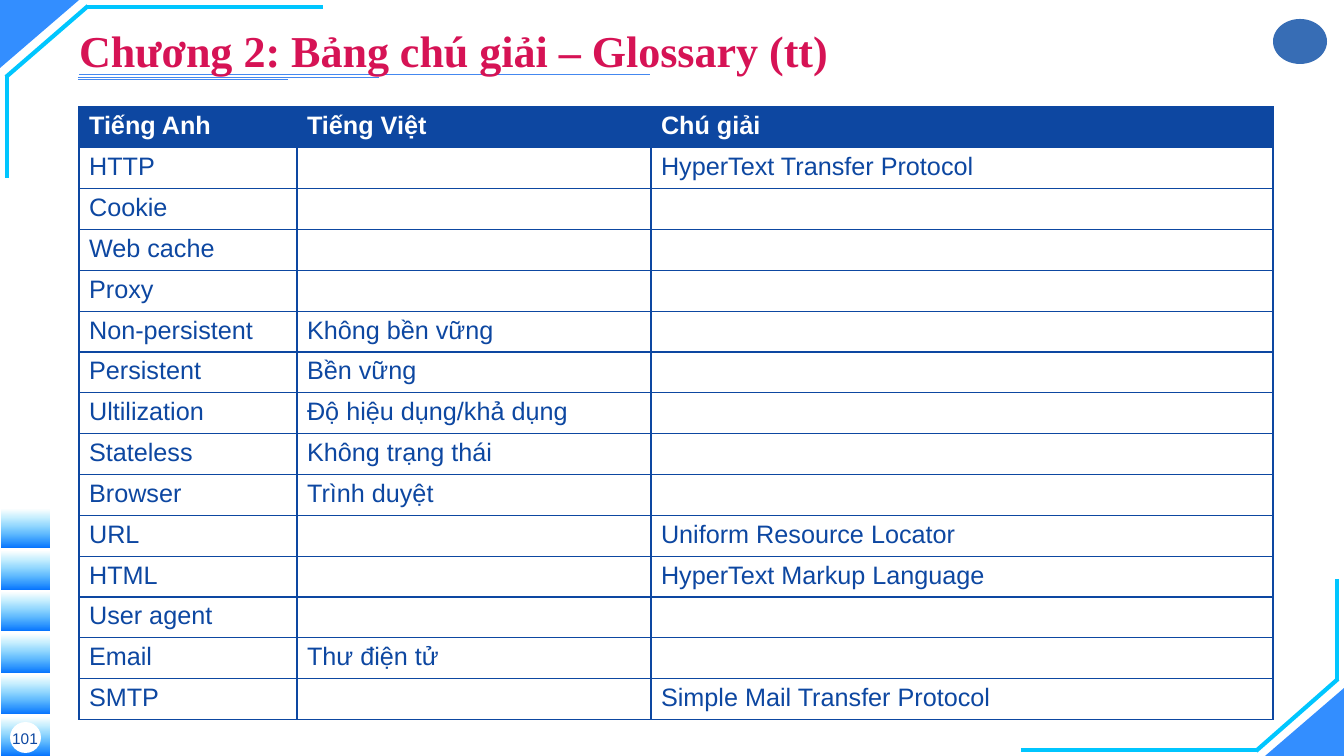
"""Build the glossary slide of chapter 2 with its corner frame and term table."""
from lxml import etree
from pptx import Presentation
from pptx import util as u
from pptx.dml.color import RGBColor
from pptx.enum import shapes, text
from pptx.oxml.ns import qn

THEME = {
    "navy": RGBColor.from_string("0D47A1"),
    "blue": RGBColor.from_string("0072FF"),
    "cyan": RGBColor.from_string("00C6FF"),
    "rule": RGBColor.from_string("4488F0"),
    "emblem": RGBColor.from_string("376DB5"),
    "crimson": RGBColor.from_string("D61355"),
    "white": RGBColor.from_string("FFFFFF"),
    "title_size": u.Pt(31.5),
    "table_size": u.Pt(18),
    "number_size": u.Pt(11),
}
SLIDE_W, SLIDE_H = 1344, 756
SCALE = 12192000 / SLIDE_W


def px(*lengths):
    return [u.Emu(round(length * SCALE)) for length in lengths]


def style(font, **values):
    for key, value in values.items():
        if key == "color":
            font.color.rgb = value
        else:
            setattr(font, key, value)


deck = Presentation()
deck.slide_width, deck.slide_height = px(SLIDE_W, SLIDE_H)
slide = deck.slides.add_slide(deck.slide_layouts[6])
SHAPE = shapes.MSO_SHAPE

for left, top, turn in [(0, 0, 180), (1265, 688, 0)]:
    corner = slide.shapes.add_shape(SHAPE.ISOSCELES_TRIANGLE, *px(left, top, 79, 68))
    corner.adjustments[0] = 1
    corner.rotation = turn
    corner.shadow.inherit = False
    corner.fill.solid()
    corner.fill.fore_color.rgb = THEME["blue"]
    corner.line.fill.background()
    tint = corner._element.spPr.find(".//" + qn("a:srgbClr"))
    etree.SubElement(tint, qn("a:alpha"), val="80000")

for step in range(6):
    bar = slide.shapes.add_shape(SHAPE.RECTANGLE, *px(2, 510 + step * 41.5, 48, 38))
    bar.shadow.inherit = False
    bar.line.fill.background()
    bar.fill.gradient()
    bar.fill.gradient_angle = 90
    for stop, name, position in zip(bar.fill.gradient_stops, ("blue", "cyan"), (0, 1)):
        stop.color.rgb = THEME[name]
        stop.position = position
    fade = bar._element.spPr.findall(".//" + qn("a:srgbClr"))[-1]
    etree.SubElement(fade, qn("a:alpha"), val="0")

for box, name in [((1273, 19, 54, 45), "emblem"), ((10, 722, 31, 31), "white")]:
    disc = slide.shapes.add_shape(SHAPE.OVAL, *px(*box))
    disc.shadow.inherit = False
    disc.fill.solid()
    disc.fill.fore_color.rgb = THEME[name]
    disc.line.fill.background()

frame = [
    (323, 7, 86, 7), (88, 6, 6, 77), (7, 178, 7, 75),
    (1021, 750, 1258, 750), (1256, 751, 1338, 679), (1337, 579, 1337, 681),
]
underlines = [(79, 74, 650, 74), (78, 77, 379, 77), (78, 79, 288, 79)]
for strokes, name, width in [(frame, "cyan", 3), (underlines, "rule", 0.25)]:
    for ends in strokes:
        stroke = slide.shapes.add_connector(shapes.MSO_CONNECTOR.STRAIGHT, *px(*ends))
        stroke.line.color.rgb = THEME[name]
        stroke.line.width = u.Pt(width)
        etree.SubElement(stroke._element.spPr, qn("a:effectLst"))

captions = [
    ("101", (-29, 723, 108, 31), (10, 5, 10, 5), text.PP_ALIGN.CENTER, 1,
     dict(name="Arial", size=THEME["number_size"], color=THEME["navy"])),
    ("Chương 2: Bảng chú giải – Glossary (tt)", (79, 19, 1172, 51), (0, 5, 10, 5),
     text.PP_ALIGN.LEFT, 1.2,
     dict(name="Times New Roman", size=THEME["title_size"], color=THEME["crimson"], bold=True)),
]
for words, box, insets, align, spacing, font in captions:
    caption = slide.shapes.add_textbox(*px(*box)).text_frame
    caption.word_wrap = True
    caption.vertical_anchor = text.MSO_ANCHOR.MIDDLE
    for side, inset in zip(("left", "top", "right", "bottom"), px(*insets)):
        setattr(caption, f"margin_{side}", inset)
    line = caption.paragraphs[0]
    line.alignment = align
    line.line_spacing = spacing
    run = line.add_run()
    run.text = words
    style(run.font, **font)

terms = [
    ("Tiếng Anh", "Tiếng Việt", "Chú giải"),
    ("HTTP", "", "HyperText Transfer Protocol"),
    ("Cookie", "", ""),
    ("Web cache", "", ""),
    ("Proxy", "", ""),
    ("Non-persistent", "Không bền vững", ""),
    ("Persistent", "Bền vững", ""),
    ("Ultilization", "Độ hiệu dụng/khả dụng", ""),
    ("Stateless", "Không trạng thái", ""),
    ("Browser", "Trình duyệt", ""),
    ("URL", "", "Uniform Resource Locator"),
    ("HTML", "", "HyperText Markup Language"),
    ("User agent", "", ""),
    ("Email", "Thư điện tử", ""),
    ("SMTP", "", "Simple Mail Transfer Protocol"),
]
columns = (218, 354, 622)
glossary = slide.shapes.add_table(
    len(terms), len(columns), *px(79, 107, sum(columns), 613)).table
glossary.horz_banding = False
for column, width in zip(glossary.columns, px(*columns)):
    column.width = width
for row, entries in enumerate(terms):
    heading = row == 0
    for col, entry in enumerate(entries):
        cell = glossary.cell(row, col)
        borders = cell._tc.get_or_add_tcPr()
        for edge in ("a:lnL", "a:lnR", "a:lnT", "a:lnB"):
            border = etree.SubElement(borders, qn(edge), w=str(u.Pt(1)))
            ink = etree.SubElement(border, qn("a:solidFill"))
            etree.SubElement(ink, qn("a:srgbClr"), val=str(THEME["navy"]))
        if heading:
            cell.fill.solid()
            cell.fill.fore_color.rgb = THEME["navy"]
        else:
            cell.fill.background()
        if entry:
            run = cell.text_frame.paragraphs[0].add_run()
            run.text = entry
            style(run.font, name="Arial", size=THEME["table_size"], bold=heading,
                  color=THEME["white" if heading else "navy"])

deck.save("out.pptx")
